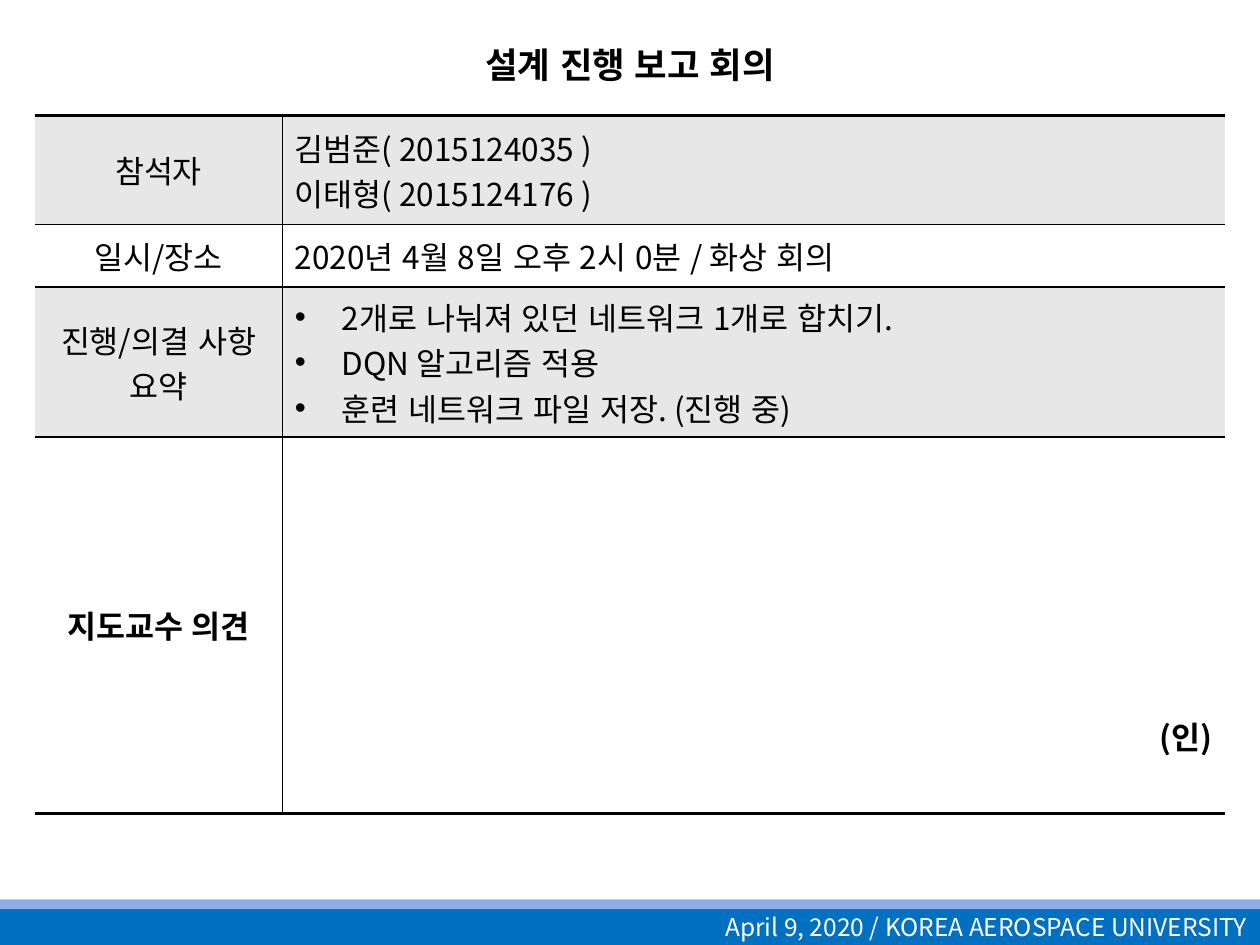
from dataclasses import dataclass

import lxml.etree
import pptx
import pptx.dml.color
import pptx.enum.lang
import pptx.enum.shapes
import pptx.enum.text
import pptx.oxml.ns
import pptx.util

Cm = pptx.util.Cm
Pt = pptx.util.Pt
Align = pptx.enum.text.PP_ALIGN
Anchor = pptx.enum.text.MSO_ANCHOR
Language = pptx.enum.lang.MSO_LANGUAGE_ID
RGBColor = pptx.dml.color.RGBColor
qn = pptx.oxml.ns.qn

BLACK = RGBColor(0x00, 0x00, 0x00)
WHITE = RGBColor(0xFF, 0xFF, 0xFF)
GREY = RGBColor(0xE7, 0xE7, 0xE7)
BLUE = RGBColor(0x00, 0x70, 0xC0)
LIGHT_BLUE = RGBColor(0x8F, 0xAD, 0xE9)

FONT = "Noto Sans CJK KR"
COLUMN_WIDTHS = (4.99, 19.0)
BULLET_INDENT = Cm(0.95)


@dataclass(frozen=True)
class ReportRow:
    """One row of the meeting report."""
    label: str
    lines: tuple[str, ...]
    height: float
    bulleted: bool = False
    bold: bool = False
    align: Align = Align.LEFT
    anchor: Anchor = Anchor.MIDDLE
    margin_bottom: float = 0.13


REPORT_ROWS = (
    ReportRow("참석자", ("김범준( 2015124035 )", "이태형( 2015124176 )"), 2.2),
    ReportRow("일시/장소", ("2020년 4월 8일 오후 2시 0분 / 화상 회의",), 1.26),
    ReportRow("진행/의결 사항 요약",
              ("2개로 나눠져 있던 네트워크 1개로 합치기.", "DQN 알고리즘 적용",
               "훈련 네트워크 파일 저장. (진행 중)"), 3.02, bulleted=True),
    ReportRow("지도교수 의견", ("(인)",), 7.58, bold=True, align=Align.RIGHT,
              anchor=Anchor.BOTTOM, margin_bottom=1.1),
)


def add_run(paragraph, text: str, size: float, color: RGBColor = BLACK, bold: bool = False,
            language: Language = Language.KOREAN):
    """Add a formatted run and return it."""
    run = paragraph.add_run()
    run.text = text
    run.font.size = Pt(size)
    run.font.bold = bold
    run.font.language_id = language
    run.font.color.rgb = color
    run.font.name = FONT
    east_asian = lxml.etree.SubElement(run._r.get_or_add_rPr(), qn("a:ea"))
    east_asian.set("typeface", FONT)
    return run


def add_bullet(paragraph) -> None:
    """Give a paragraph a hanging bullet."""
    properties = paragraph._p.get_or_add_pPr()
    properties.set("marL", str(BULLET_INDENT))
    properties.set("indent", str(-BULLET_INDENT))
    lxml.etree.SubElement(properties, qn("a:buFont")).set("typeface", "Arial")
    lxml.etree.SubElement(properties, qn("a:buChar")).set("char", "•")


def set_borders(cell, left: float, right: float, top: float, bottom: float) -> None:
    """Set the border widths of a cell in points; zero means no line."""
    properties = cell._tc.get_or_add_tcPr()
    for side, width in zip("LRTB", (left, right, top, bottom)):
        line = lxml.etree.SubElement(properties, qn(f"a:ln{side}"))
        line.set("w", str(Pt(width)))
        if width:
            fill = lxml.etree.SubElement(line, qn("a:solidFill"))
            lxml.etree.SubElement(fill, qn("a:srgbClr")).set("val", str(BLACK))
        else:
            lxml.etree.SubElement(line, qn("a:noFill"))


def fill_cell(cell, lines: tuple[str, ...], align: Align, bold: bool, bulleted: bool) -> None:
    """Write one paragraph per line into a cell."""
    for index, line in enumerate(lines):
        frame = cell.text_frame
        paragraph = frame.add_paragraph() if index else frame.paragraphs[0]
        paragraph.alignment = align
        if bulleted:
            add_bullet(paragraph)
        add_run(paragraph, line, 18, bold=bold)


def add_report_table(slide) -> None:
    """Draw the report table."""
    height = sum(row.height for row in REPORT_ROWS)
    frame = slide.shapes.add_table(len(REPORT_ROWS), len(COLUMN_WIDTHS), Cm(0.7), Cm(2.33),
                                   Cm(sum(COLUMN_WIDTHS)), Cm(height))
    table = frame.table
    table.first_row = False
    table.horz_banding = False
    for column, width in zip(table.columns, COLUMN_WIDTHS):
        column.width = Cm(width)
    last = len(REPORT_ROWS) - 1
    for index, row in enumerate(REPORT_ROWS):
        table.rows[index].height = Cm(row.height)
        label, content = table.cell(index, 0), table.cell(index, 1)
        top = 2 if index == 0 else 1
        bottom = 2 if index == last else 1
        set_borders(label, 0, 1, top, bottom)
        set_borders(content, 1, 0, top, bottom)
        for cell in (label, content):
            cell.fill.solid()
            cell.fill.fore_color.rgb = WHITE if index % 2 else GREY
        fill_cell(label, (row.label,), Align.CENTER, row.bold, False)
        fill_cell(content, row.lines, row.align, row.bold, row.bulleted)
        label.vertical_anchor = Anchor.MIDDLE
        content.vertical_anchor = row.anchor
        content.margin_bottom = Cm(row.margin_bottom)


def add_band(slide, top: float, height: float, color: RGBColor):
    """Draw a full-width footer band and return it."""
    band = slide.shapes.add_shape(pptx.enum.shapes.MSO_SHAPE.RECTANGLE,
                                  Cm(0), Cm(top), Cm(25.4), Cm(height))
    band.shadow.inherit = False
    band.fill.solid()
    band.fill.fore_color.rgb = color
    band.line.fill.background()
    return band


def add_footer(slide) -> None:
    """Draw the footer bands with the date and the school."""
    footer = add_band(slide, 18.31, 0.74, BLUE)
    footer.text_frame.vertical_anchor = Anchor.MIDDLE
    paragraph = footer.text_frame.paragraphs[0]
    paragraph.alignment = Align.RIGHT
    add_run(paragraph, "April 9, 2020 / KOREA AEROSPACE UNIVERSITY", 14, WHITE,
            language=Language.ENGLISH_US)
    add_band(slide, 18.13, 0.2, LIGHT_BLUE)


def add_title(slide) -> None:
    """Write the centred slide title in small capitals."""
    title = slide.shapes.add_textbox(Cm(1.9), Cm(0.53), Cm(21.6), Cm(1.4))
    title.text_frame.word_wrap = True
    title.text_frame.vertical_anchor = Anchor.MIDDLE
    paragraph = title.text_frame.paragraphs[0]
    paragraph.alignment = Align.CENTER
    run = add_run(paragraph, "설계 진행 보고 회의", 25.2, bold=True)
    run._r.get_or_add_rPr().set("cap", "small")


def main() -> None:
    """Build and save the presentation."""
    presentation = pptx.Presentation()
    presentation.slide_width = Cm(25.4)
    presentation.slide_height = Cm(19.05)
    slide = presentation.slides.add_slide(presentation.slide_layouts[6])
    add_footer(slide)
    add_title(slide)
    add_report_table(slide)
    presentation.save("out.pptx")


main()
